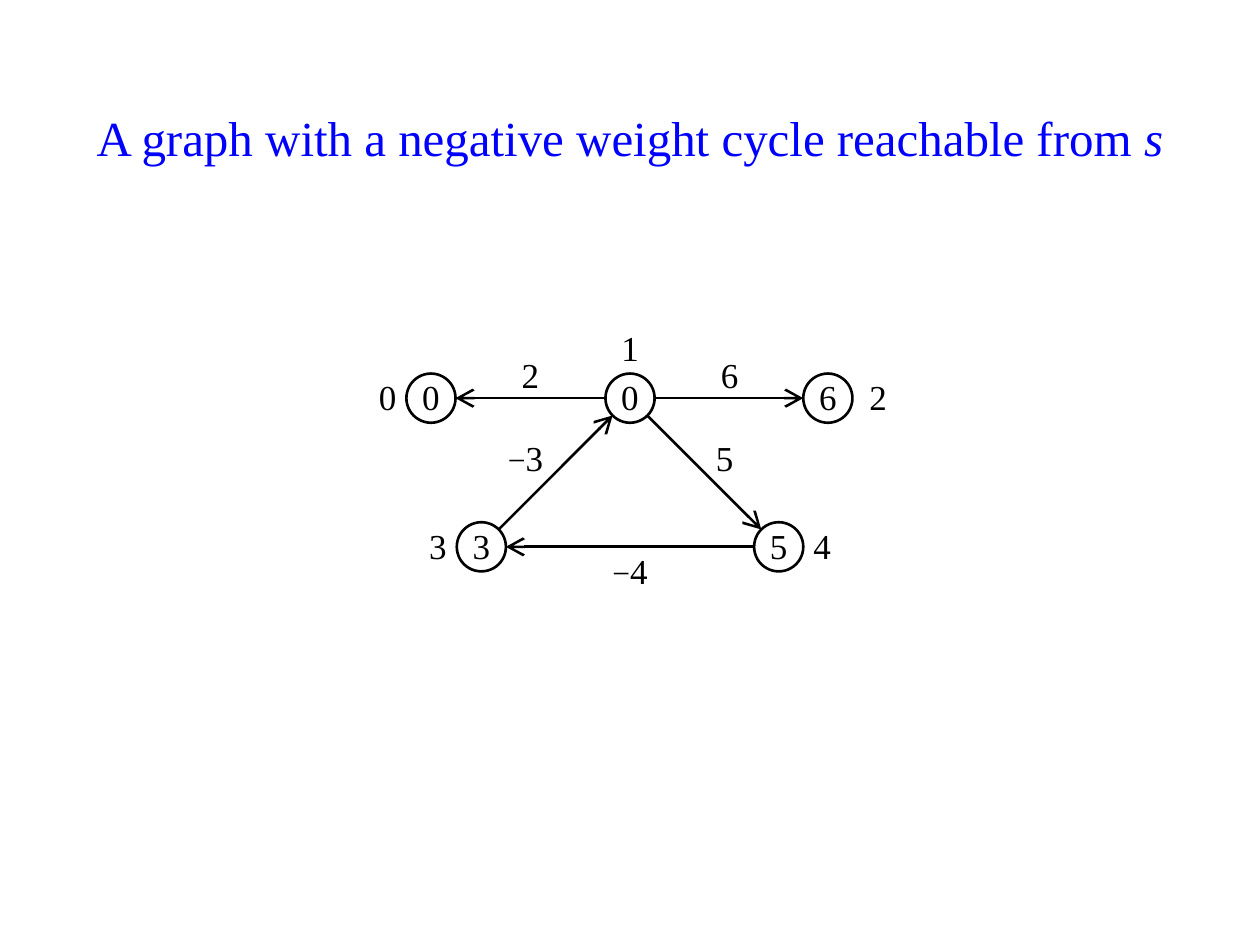
import math
from pptx import Presentation
from pptx.dml.color import RGBColor
from pptx.enum import shapes, text
from pptx.oxml.ns import qn
from pptx.util import Inches, Pt
from lxml import etree

COLORS = {"title": "0000FF", "ink": "000000", "node": "FFFFFF"}
FONT = "Times New Roman"
LEFT, CENTER, RIGHT = (text.PP_ALIGN.LEFT, text.PP_ALIGN.CENTER, text.PP_ALIGN.RIGHT)

# Content
TITLE = [("A graph with a negative weight cycle reachable from ", False), ("s", True)]
# name: (centre x, centre y, distance)
NODES = {
    "0": (3.42, 3.16, "0"),
    "1": (5.0, 3.16, "0"),
    "2": (6.57, 3.16, "6"),
    "3": (3.82, 4.34, "3"),
    "4": (6.18, 4.34, "5"),
}
EDGES = [("1", "0"), ("1", "2"), ("1", "4"), ("4", "3"), ("3", "1")]
# Insets: left, top, right, bottom
PLAIN = (0.1, 0, 0.1, 0.02)
ABOVE = (0.1, 0.08, 0.1, 0.08)
SLOPE = (0, 0.16, 0.08, 0)
BELOW = (0, 0, 0, 0.02)
# label, centre x, centre y, alignment, insets
LABELS = [
    ("0", 3.03, 3.16, RIGHT, (0.1, 0, 0.08, 0.02)),
    ("1", 5.0, 2.77, CENTER, PLAIN),
    ("2", 6.97, 3.16, CENTER, PLAIN),
    ("3", 3.43, 4.34, RIGHT, (0.1, 0, 0.08, 0.02)),
    ("4", 6.57, 4.34, LEFT, (0.08, 0, 0.1, 0.02)),
    ("2", 4.21, 2.97, CENTER, ABOVE),
    ("6", 5.79, 2.97, CENTER, ABOVE),
    ("−3", 4.21, 3.55, CENTER, SLOPE),
    ("5", 5.79, 3.55, CENTER, SLOPE),
    ("−4", 5.0, 4.54, CENTER, BELOW),
]
SIZE = 0.39


def color(name):
    return RGBColor.from_string(COLORS[name])


def box_at(x, y):
    return [Inches(v) for v in (x - SIZE / 2, y - SIZE / 2, SIZE, SIZE)]


def write(sp, label, align=CENTER, insets=PLAIN):
    tf = sp.text_frame
    tf.word_wrap = False
    tf.vertical_anchor = text.MSO_ANCHOR.MIDDLE
    (tf.margin_left, tf.margin_top,
     tf.margin_right, tf.margin_bottom) = [Inches(v) for v in insets]
    p = tf.paragraphs[0]
    p.alignment = align
    p.font.name = FONT
    p.font.color.rgb = color("ink")
    for char in label:
        r = p.add_run()
        r.text = char
        r.font.size = Pt(18 if char == "−" else 20)


def add_node(s, x, y, label):
    sp = s.shapes.add_shape(shapes.MSO_SHAPE.OVAL, *box_at(x, y))
    sp.shadow.inherit = False
    sp.fill.solid()
    sp.fill.fore_color.rgb = color("node")
    sp.line.color.rgb = color("ink")
    sp.line.width = Pt(1.5)
    write(sp, label)


def add_edge(s, start, end):
    (x1, y1, _), (x2, y2, _) = NODES[start], NODES[end]
    # Trim both ends to the node circles
    trim = SIZE / 2 / math.hypot(x2 - x1, y2 - y1)
    dx, dy = (x2 - x1) * trim, (y2 - y1) * trim
    ends = [Inches(v) for v in (x1 + dx, y1 + dy, x2 - dx, y2 - dy)]
    line = s.shapes.add_connector(shapes.MSO_CONNECTOR.STRAIGHT, *ends)
    line.line.color.rgb = color("ink")
    line.line.width = Pt(1.5)
    etree.SubElement(line.line._get_or_add_ln(), qn("a:tailEnd"),
                     type="arrow", w="lg", len="lg")
    etree.SubElement(line._element.spPr, qn("a:effectLst"))


def add_title(s):
    sp = s.shapes.add_textbox(*[Inches(v) for v in (0.47, 0.8, 9.06, 0.59)])
    tf = sp.text_frame
    tf.word_wrap = True
    tf.vertical_anchor = text.MSO_ANCHOR.TOP
    p = tf.paragraphs[0]
    p.alignment = CENTER
    p.font.name = FONT
    p.font.size = Pt(28)
    p.font.color.rgb = color("title")
    for part, italic in TITLE:
        r = p.add_run()
        r.text = part
        r.font.italic = italic


def main():
    prs = Presentation()
    prs.slide_width, prs.slide_height = Inches(10), Inches(7.5)
    s = prs.slides.add_slide(prs.slide_layouts[6])
    add_title(s)
    for label, x, y, align, insets in LABELS:
        write(s.shapes.add_textbox(*box_at(x, y)), label, align, insets)
    for x, y, distance in NODES.values():
        add_node(s, x, y, distance)
    for start, end in EDGES:
        add_edge(s, start, end)
    prs.save("out.pptx")


if __name__ == "__main__":
    main()
